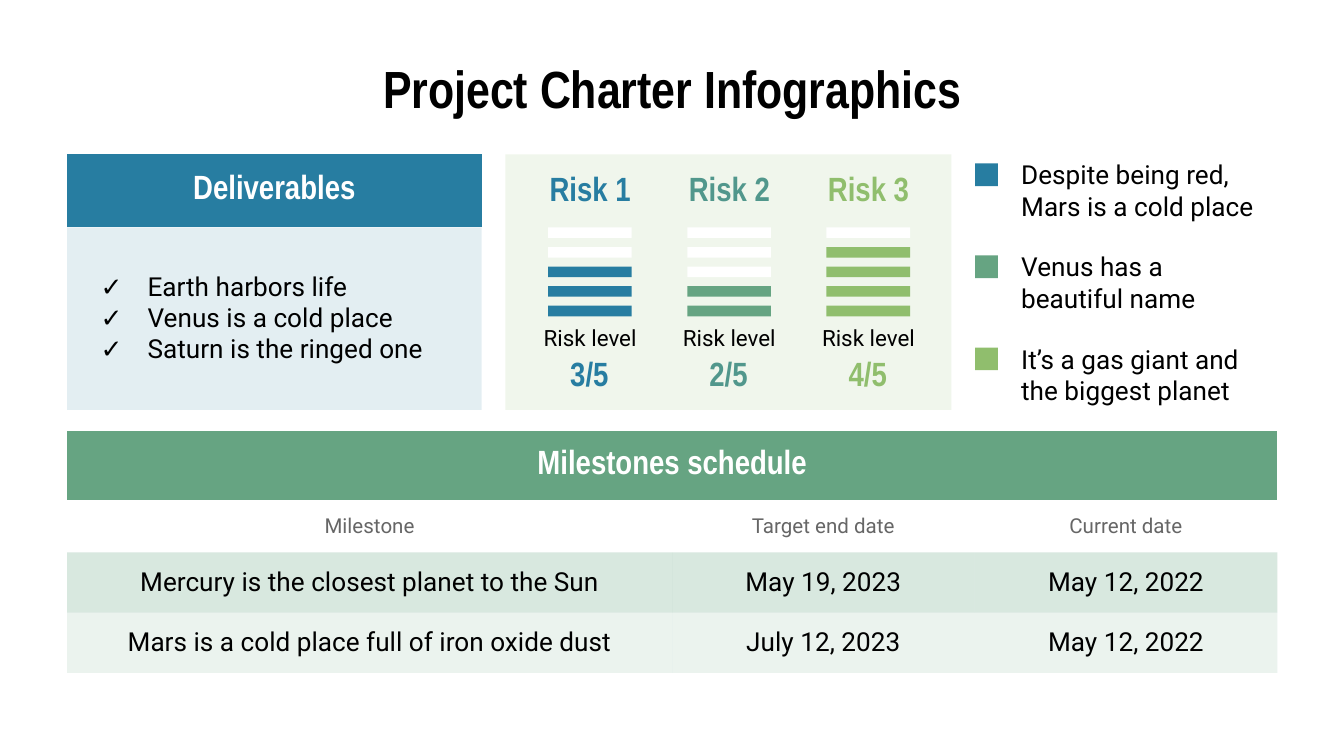
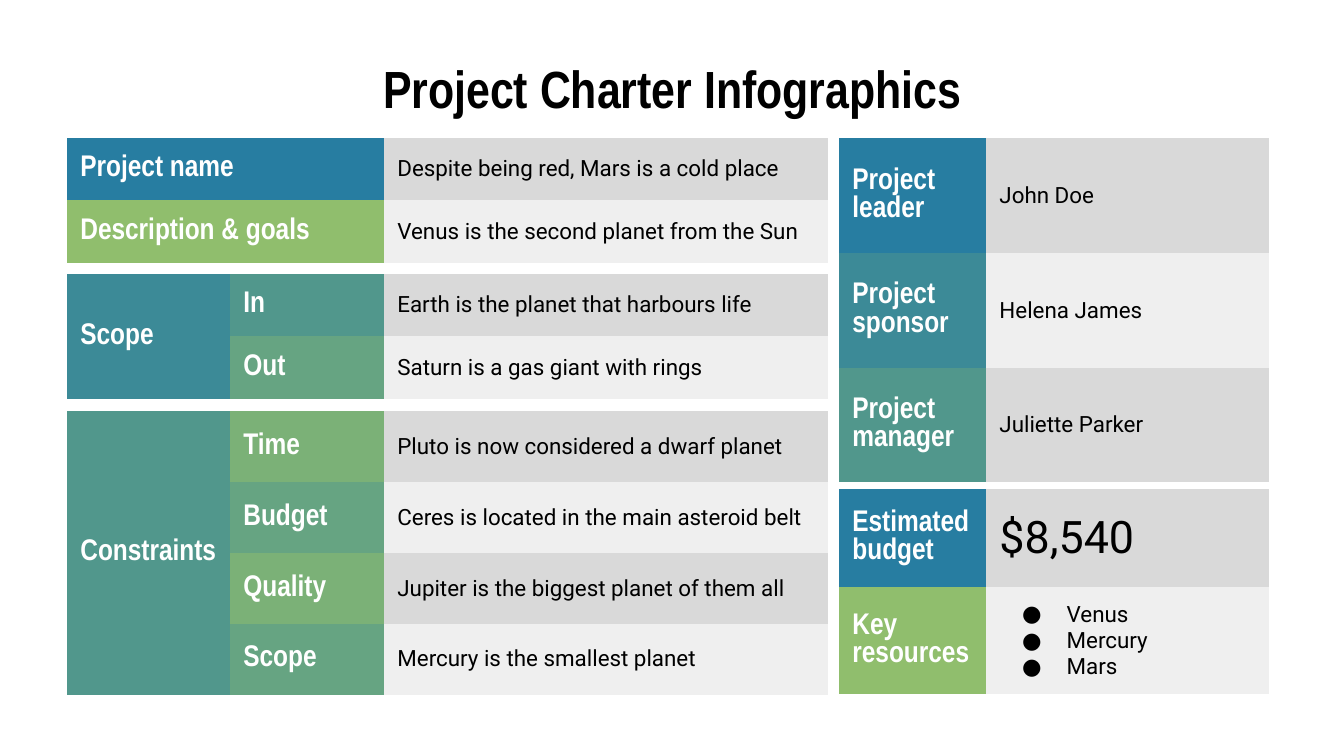
from dataclasses import dataclass
from itertools import product

from lxml import etree
from pptx import Presentation
from pptx import util as u
from pptx.dml.color import RGBColor
from pptx.enum import shapes, text
from pptx.oxml import ns

Cm, Pt = u.Cm, u.Pt
COLORS = {
    "blue": "277DA1", "sea": "3C8A97", "teal": "51978C", "green": "66A482",
    "leaf": "7BB177", "lime": "90BE6D", "white": "FFFFFF", "black": "000000",
    "note": "666666", "grey": "D9D9D9", "pale": "EFEFEF",
}
HEAD, BODY = "Arial Narrow", "Roboto"
LEFT = 1.27
INSET = 0.25
CENTER = text.PP_ALIGN.CENTER
NO_STYLE = "{2D5ABB26-0587-4C30-8999-92F81FD0307C}"


@dataclass
class Style:
    size: float
    font: str = BODY
    color: str = "black"
    align: text.PP_ALIGN = text.PP_ALIGN.LEFT
    bullet: str = ""
    hang: float = 0


@dataclass
class Cell:
    text: str
    style: Style
    fill: str
    alpha: int = 100
    span: tuple = (1, 1)


# Text styles
TITLE = Style(28, HEAD, align=CENTER)
BAND = Style(18, HEAD, "white", CENTER)
LABEL = Style(16, HEAD, "white")
VALUE = Style(12)
BUDGET = Style(24)
LEGEND = Style(14)
COLUMN = Style(11, color="note", align=CENTER)
ENTRY = Style(14, align=CENTER)
LEVEL = Style(12, align=CENTER)
CHECKS = Style(14, bullet="✓", hang=0.89)
DOTS = Style(12, bullet="●", hang=0.84)


def add_element(parent, tag, **attributes):
    return etree.SubElement(parent, ns.qn(tag), attributes)


def paint(target, color, alpha=100):
    target.fill.solid()
    target.fill.fore_color.rgb = RGBColor.from_string(COLORS[color])
    if alpha < 100:
        for tone in target.fill._xPr.iter(ns.qn("a:srgbClr")):
            add_element(tone, "a:alpha", val=str(alpha * 1000))


def add_bullet(para, style):
    props = para._p.get_or_add_pPr()
    props.set("marL", str(Cm(1.27)))
    props.set("indent", str(-Cm(style.hang)))
    tone = add_element(props, "a:buClr")
    add_element(tone, "a:srgbClr", val=COLORS[style.color])
    add_element(props, "a:buFont", typeface=style.font)
    add_element(props, "a:buChar", char=style.bullet)


def write(frame, content, style):
    for index, line in enumerate(content.split("\n")):
        para = frame.add_paragraph() if index else frame.paragraphs[0]
        para.alignment = style.align
        if style.bullet:
            add_bullet(para, style)
        span = para.add_run()
        span.text = line
        span.font.name = style.font
        span.font.size = Pt(style.size)
        span.font.bold = style.font == HEAD
        span.font.color.rgb = RGBColor.from_string(COLORS[style.color])


def add_text(parent, content, style, left, top, width, height):
    box = parent.shapes.add_textbox(Cm(left), Cm(top), Cm(width), Cm(height))
    frame = box.text_frame
    frame.word_wrap = True
    frame.vertical_anchor = text.MSO_ANCHOR.MIDDLE
    frame.margin_left = frame.margin_right = Cm(INSET)
    frame.margin_top = frame.margin_bottom = Cm(INSET)
    write(frame, content, style)


def add_block(parent, color, left, top, width, height, alpha=100):
    block = parent.shapes.add_shape(
        shapes.MSO_SHAPE.RECTANGLE, Cm(left), Cm(top), Cm(width), Cm(height))
    block.shadow.inherit = False
    block.line.fill.background()
    paint(block, color, alpha)


def clear_borders(cell):
    props = cell._tc.get_or_add_tcPr()
    for side in ("a:lnL", "a:lnR", "a:lnT", "a:lnB"):
        add_element(add_element(props, side, w="0"), "a:noFill")


def add_grid(slide, left, top, widths, heights, rows):
    """Rows hold a Cell, or None where a neighbour spans the place."""
    frame = slide.shapes.add_table(
        len(heights), len(widths), Cm(left), Cm(top),
        Cm(sum(widths)), Cm(sum(heights)))
    table = frame.table
    table.first_row = table.horz_banding = False
    table._tbl.tblPr.find(ns.qn("a:tableStyleId")).text = NO_STYLE
    for column, width in zip(table.columns, widths):
        column.width = Cm(width)
    for row, height in zip(table.rows, heights):
        row.height = Cm(height)
    for r, c in product(range(len(heights)), range(len(widths))):
        cell, item = table.cell(r, c), rows[r][c]
        clear_borders(cell)
        if item is None:
            continue
        down, across = item.span
        if item.span != (1, 1):
            cell.merge(table.cell(r + down - 1, c + across - 1))
        cell.vertical_anchor = text.MSO_ANCHOR.MIDDLE
        cell.margin_left = cell.margin_right = Cm(INSET)
        cell.margin_top = cell.margin_bottom = Cm(INSET)
        paint(cell, item.fill, item.alpha)
        write(cell.text_frame, item.text, item.style)


def add_slide(deck):
    slide = deck.slides.add_slide(deck.slide_layouts[6])
    add_text(slide, "Project Charter Infographics", TITLE, LEFT, 1.14, 22.86, 1.04)
    return slide


def add_risk(slide, index, level, text_color, bar_color):
    shift = index * 2.63
    labels = slide.shapes.add_group_shape()
    score = Style(18, HEAD, text_color, CENTER)
    add_text(labels, "Risk level", LEVEL, 10.01 + shift, 6.07, 2.29, 0.64)
    add_text(labels, f"{level}/5", score, 10.44 + shift, 6.73, 1.4, 0.64)
    add_text(labels, f"Risk {index + 1}", score, 10.01 + shift, 3.18, 2.29, 0.76)
    gauge = slide.shapes.add_group_shape()
    for bar in range(5):
        color = bar_color if bar >= 5 - level else "white"
        add_block(gauge, color, 10.36 + shift, 4.3 + bar * 0.37, 1.58, 0.2)


def build_milestones(deck):
    slide = add_slide(deck)

    # Deliverables
    add_grid(slide, LEFT, 2.92, [2.61] * 3, [1.38, 3.45], [
        [Cell("Deliverables", BAND, "blue", span=(1, 3)), None, None],
        [Cell("Earth harbors life\nVenus is a cold place\nSaturn is the ringed one",
              CHECKS, "blue", 13, (1, 3)), None, None],
    ])

    # Risk gauges
    add_block(slide, "lime", 9.55, 2.92, 8.43, 4.83, 13)
    risks = [(3, "blue", "blue"), (2, "teal", "green"), (4, "lime", "lime")]
    for index, risk in enumerate(risks):
        add_risk(slide, index, *risk)

    # Legend
    legend = [("blue", "Despite being red, Mars is a cold place"),
              ("green", "Venus has a beautiful name"),
              ("lime", "It’s a gas giant and the biggest planet")]
    for index, (color, caption) in enumerate(legend):
        shift = index * 1.74
        add_block(slide, color, 18.43, 3.09 + shift, 0.43, 0.43)
        add_text(slide, caption, LEGEND, 19.05, 2.92 + shift, 5.08, 1.35)

    # Schedule
    columns = ["Milestone", "Target end date", "Current date"]
    entries = [
        (25, ["Mercury is the closest planet to the Sun", "May 19, 2023", "May 12, 2022"]),
        (13, ["Mars is a cold place full of iron oxide dust", "July 12, 2023", "May 12, 2022"]),
    ]
    rows = [[Cell("Milestones schedule", BAND, "green", span=(1, 3)), None, None],
            [Cell(name, COLUMN, "white") for name in columns]]
    rows += [[Cell(entry, ENTRY, "green", alpha) for entry in line]
             for alpha, line in entries]
    add_grid(slide, LEFT, 8.15, [11.43, 5.72, 5.72], [1.3, 0.99, 1.14, 1.14], rows)


def label_rows(entries):
    """Pair coloured labels with values on alternating greys."""
    return [[Cell(label, LABEL, color),
             Cell(value, style[0] if style else VALUE, ("grey", "pale")[index % 2])]
            for index, (label, color, value, *style) in enumerate(entries)]


def add_topic(slide, top, height, name, color, entries):
    """A table whose first column is one label over all rows."""
    rows = label_rows(entries)
    topic = Cell(name, LABEL, color, span=(len(rows), 1))
    rows = [[None if index else topic] + row for index, row in enumerate(rows)]
    add_grid(slide, LEFT, top, [3.08, 2.91, 8.39], [height] * len(rows), rows)


def build_charter(deck):
    slide = add_slide(deck)

    # Project, scope and constraints
    add_grid(slide, LEFT, 2.61, [5.99, 8.39], [0.76] * 2, label_rows([
        ("Project name", "blue", "Despite being red, Mars is a cold place"),
        ("Description & goals", "lime", "Venus is the second planet from the Sun"),
    ]))
    add_topic(slide, 5.18, 0.81, "Scope", "sea", [
        ("In", "teal", "Earth is the planet that harbours life"),
        ("Out", "green", "Saturn is a gas giant with rings"),
    ])
    add_topic(slide, 7.77, 1.34, "Constraints", "teal", [
        ("Time", "leaf", "Pluto is now considered a dwarf planet"),
        ("Budget", "green", "Ceres is located in the main asteroid belt"),
        ("Quality", "leaf", "Jupiter is the biggest planet of them all"),
        ("Scope", "green", "Mercury is the smallest planet"),
    ])

    # People and resources
    side, widths = 15.86, [2.78, 5.35]
    add_grid(slide, side, 2.61, widths, [2.17] * 3, label_rows([
        ("Project leader", "blue", "John Doe"),
        ("Project sponsor", "sea", "Helena James"),
        ("Project manager", "teal", "Juliette Parker"),
    ]))
    add_grid(slide, side, 9.24, widths, [1.76, 1.9], label_rows([
        ("Estimated budget", "blue", "$8,540", BUDGET),
        ("Key resources", "lime", "Venus\nMercury\nMars", DOTS),
    ]))


def main():
    deck = Presentation()
    deck.slide_width, deck.slide_height = Cm(25.4), Cm(14.29)
    build_milestones(deck)
    build_charter(deck)
    deck.save("out.pptx")


if __name__ == "__main__":
    main()
